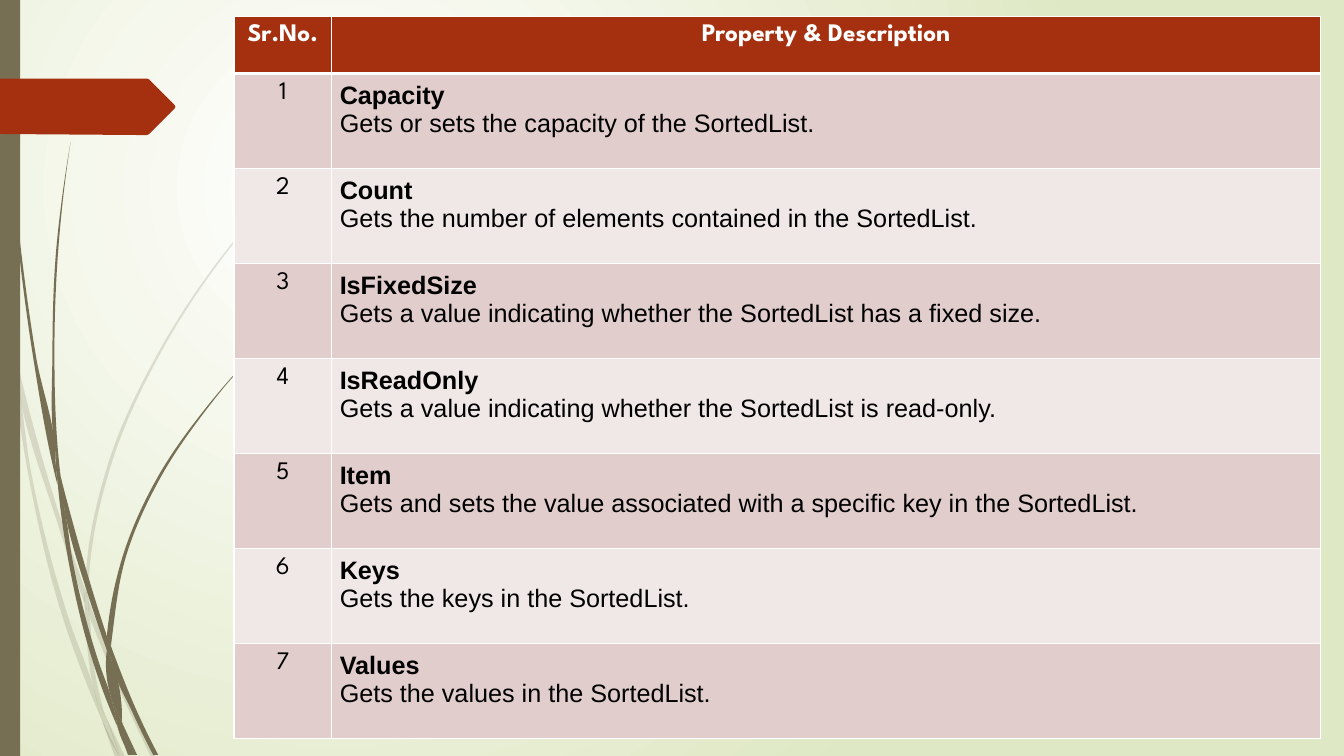
from lxml import etree
from pptx import Presentation
from pptx.dml.color import RGBColor
from pptx.enum.shapes import MSO_SHAPE
from pptx.enum.text import PP_ALIGN
from pptx.oxml import parse_xml
from pptx.oxml.ns import nsdecls, qn
from pptx.util import Inches, Pt

RECTANGLE = MSO_SHAPE.RECTANGLE
CENTER, JUSTIFY = PP_ALIGN.CENTER, PP_ALIGN.JUSTIFY

COLORS = {
    "white": "FFFFFF", "pale_green": "DFE8C4", "olive": "766F54", "rust": "A53010",
    "band_dark": "E1CDCC", "band_light": "F0E8E7", "black": "000000",
}
HEADING_FONT, BODY_FONT = "League Spartan", "Arial"

# Each grass blade has two smooth edges, split by a slash; points are x,y in inches
FAINT_BLADES = [
    "0,2.82 0.09,3.22 0.11,3.5 / 0.1,3.44 0,2.99",
    "0.14,3.45 0.17,3.76 0.58,5.22 0.84,5.99 / 0.85,5.86 0.62,5.2 0.14,3.45",
    "0.88,6.1 1.23,6.94 1.5,7.51 / 1.55,7.51 1.27,6.92 0.92,6.07 0.88,5.96",
    "1.05,7.11 1.19,7.51 / 1.24,7.51 1.05,7.11",
    "0.11,3.5 0.28,4.7 0.65,6.21 0.92,6.93 1.01,7.14"
    " / 0.99,7.07 0.93,6.83 0.7,6.19 0.31,4.69 0.17,3.76 0.11,3.5",
    "0.84,5.99 0.87,6.46 0.93,6.83 0.96,6.92 1.05,7.11"
    " / 1.03,7.06 0.91,6.46 0.88,6.1 0.84,5.99",
    "3.12,1.54 2.9,1.75 2.68,1.98 2.29,2.45 1.6,3.49 1.1,4.62 0.88,5.84 0.88,5.96"
    " / 0.85,5.86 0.85,5.84 1.07,4.61 1.58,3.48 2.28,2.44 2.68,1.97 2.89,1.75 3.12,1.53",
    "1.01,7.14 1.14,7.51 / 1.19,7.51 1.01,7.14",
    "0.85,5.86 0.84,5.99 0.88,6.08 / 0.88,6.1 0.88,5.96 0.85,5.86",
    "0.93,6.83 0.99,7.07 1.01,7.14 1.19,7.51 / 1.19,7.51 1.05,7.11 0.96,6.92 0.93,6.83",
]
SOLID_BLADES = [
    "0.03,0 0.04,0.48 0.07,1.1 0.17,2.33 0.33,3.55 0.56,4.77 0.57,4.81"
    " / 0.55,4.57 0.55,4.53 0.36,3.55 0.19,2.32 0.08,1.09 0.05,0.48 0.04,0",
    "0.6,4.72 0.64,5.05 0.88,5.92 1.06,6.45 / 1.06,6.31 0.93,5.9 0.6,4.72",
    "1.1,6.41 1.11,6.56 1.32,7.08 1.52,7.49 / 1.57,7.49 1.36,7.06 1.13,6.49 1.1,6.41",
    "0.57,4.77 0.68,5.57 0.93,6.59 1.11,7.08 1.17,7.22"
    " / 1.16,7.17 1.1,6.91 0.98,6.57 0.72,5.56 0.64,5.05 0.57,4.77",
    "0.7,1.41 0.62,1.93 0.56,2.45 0.52,3.49 0.55,4.49 0.6,4.72"
    " / 0.6,4.72 0.58,4.53 0.54,3.49 0.58,2.45 0.63,1.93 0.7,1.41",
    "1.22,7.19 1.33,7.49 / 1.36,7.49 1.22,7.19",
    "0.55,4.49 0.55,4.53 0.57,4.77 0.64,5.05 / 0.64,5.05 0.6,4.72 0.55,4.49",
    "2.6,3.44 2.45,3.58 2.31,3.73 2.04,4.05 1.56,4.74 1.22,5.51 1.06,6.31"
    " / 1.1,6.41 1.11,6.33 1.25,5.52 1.58,4.76 2.05,4.06 2.31,3.74 2.45,3.59 2.61,3.44",
    "1.17,7.22 1.27,7.49 / 1.31,7.49 1.17,7.22",
    "1.06,6.45 1.1,6.91 1.16,7.06 1.22,7.19 / 1.21,7.16 1.11,6.56 1.09,6.51 1.06,6.45",
    "1.06,6.31 1.06,6.45 1.09,6.51 1.11,6.56 / 1.11,6.56 1.1,6.41 1.06,6.31",
    "1.1,6.91 1.16,7.17 1.17,7.22 1.3,7.49 / 1.33,7.49 1.22,7.19 1.16,7.06 1.1,6.91",
]
ARROW_TAB = [(0, 0.78), (1.36, 0.78), (1.46, 0.78), (1.48, 0.79), (1.73, 1.04), (1.74, 1.06),
             (1.73, 1.08), (1.48, 1.33), (1.46, 1.34), (1.36, 1.34), (0, 1.33)]

HEADERS = ["Sr.No.", "Property & Description"]
PROPERTIES = [
    ("Capacity", "Gets or sets the capacity of the SortedList."),
    ("Count", "Gets the number of elements contained in the SortedList."),
    ("IsFixedSize", "Gets a value indicating whether the SortedList has a fixed size."),
    ("IsReadOnly", "Gets a value indicating whether the SortedList is read-only."),
    ("Item", "Gets and sets the value associated with a specific key in the SortedList."),
    ("Keys", "Gets the keys in the SortedList."),
    ("Values", "Gets the values in the SortedList."),
]
TABLE_HEIGHT, HEADER_HEIGHT = Inches(7.17), Inches(0.57)


def rgb(name):
    return RGBColor.from_string(COLORS[name])


def set_background(slide):
    fill = slide.background.fill
    fill.gradient()
    for stop, name in zip(fill.gradient_stops, ("white", "pale_green")):
        stop.color.rgb = rgb(name)
    direction = slide.element.find(".//" + qn("a:lin"))
    direction.getparent().replace(direction, parse_xml(
        f'<a:path {nsdecls("a")} path="circle">'
        '<a:fillToRect l="50000" t="50000" r="100000" b="100000"/></a:path>'))


def paint(shape, name, opacity=100):
    shape.shadow.inherit = False
    shape.line.fill.background()
    shape.fill.solid()
    shape.fill.fore_color.rgb = rgb(name)
    if opacity < 100:
        color = shape.fill._xPr.find(".//" + qn("a:srgbClr"))
        etree.SubElement(color, qn("a:alpha"), val=str(opacity * 1000))


def add_outline(slide, points, name, opacity=100):
    corners = [(Inches(x), Inches(y)) for x, y in points]
    builder = slide.shapes.build_freeform(*corners[0])
    builder.add_line_segments(corners[1:], close=True)
    shape = builder.convert_to_shape()
    paint(shape, name, opacity)
    return shape


def edge_handles(points):
    """Return the two control points of each curve along one blade edge."""
    chords = [end - start for start, end in zip(points, points[1:])]
    units = [chord / abs(chord) for chord in chords]
    headings = []
    for i in range(1, len(chords)):
        turn = units[i - 1] * abs(chords[i]) + units[i] * abs(chords[i - 1])
        headings.append(turn / abs(turn))
    if headings:  # the ends bend on as an arc
        headings = [units[0]**2 / headings[0], *headings, units[-1]**2 / headings[-1]]
    else:
        headings = units * 2
    return [(points[i] + headings[i] * abs(chord) / 3,
             points[i + 1] - headings[i + 1] * abs(chord) / 3)
            for i, chord in enumerate(chords)]


def add_blade(slide, blade, opacity):
    edges = [[complex(*map(float, pair.split(","))) for pair in edge.split()]
             for edge in blade.split("/")]
    points = [(point.real, point.imag) for edge in edges for point in edge]
    shape = add_outline(slide, points, "olive", opacity)
    first, second = map(edge_handles, edges)
    lines = shape._element.findall(".//" + qn("a:lnTo"))
    for line, handles in zip(lines, [*first, None, *second]):
        if handles:
            line.tag = qn("a:cubicBezTo")
            for position, handle in enumerate(handles):
                line.insert(position, line.makeelement(qn("a:pt"), {
                    "x": str(Inches(handle.real) - shape.left),
                    "y": str(Inches(handle.imag) - shape.top)}))


def set_borders(cell, bottom_width):
    properties = cell._tc.get_or_add_tcPr()
    widths = {"lnL": 1, "lnR": 1, "lnT": 1, "lnB": bottom_width}
    for position, (side, width) in enumerate(widths.items()):
        properties.insert(position, parse_xml(
            f'<a:{side} {nsdecls("a")} w="{Pt(width)}"><a:solidFill>'
            f'<a:srgbClr val="{COLORS["white"]}"/></a:solidFill></a:{side}>'))


def fill_cell(cell, lines, fill, color, font, alignment, bold_first):
    cell.fill.solid()
    cell.fill.fore_color.rgb = rgb(fill)
    cell.margin_left = cell.margin_right = Inches(0.08)
    cell.margin_top = cell.margin_bottom = Inches(0.08)
    cell.text_frame.text = "\n".join(lines)
    for index, paragraph in enumerate(cell.text_frame.paragraphs):
        paragraph.alignment = alignment
        run_font = paragraph.runs[0].font
        run_font.name, run_font.size = font, Pt(18)
        run_font.bold = bold_first and index == 0
        run_font.color.rgb = rgb(color)


def add_property_table(slide):
    table = slide.shapes.add_table(len(PROPERTIES) + 1, 2, Inches(2.32), Inches(0.16),
                                   Inches(10.78), TABLE_HEIGHT).table
    table.columns[0].width, table.columns[1].width = Inches(0.97), Inches(9.81)
    table.rows[0].height = HEADER_HEIGHT
    for column, header in enumerate(HEADERS):
        cell = table.cell(0, column)
        fill_cell(cell, [header], "rust", "white", HEADING_FONT, CENTER, True)
        set_borders(cell, bottom_width=3)
    for number, lines in enumerate(PROPERTIES, start=1):
        band = "band_dark" if number % 2 else "band_light"
        table.rows[number].height = (TABLE_HEIGHT - HEADER_HEIGHT) // len(PROPERTIES)
        fill_cell(table.cell(number, 0), [str(number)], band, "black", HEADING_FONT,
                  CENTER, False)
        fill_cell(table.cell(number, 1), lines, band, "black", BODY_FONT, JUSTIFY, True)


def main():
    presentation = Presentation()
    presentation.slide_width, presentation.slide_height = Inches(13.33), Inches(7.5)
    slide = presentation.slides.add_slide(presentation.slide_layouts[6])
    set_background(slide)
    # Grass, side bar and arrow tab
    for blades, opacity in ((FAINT_BLADES, 20), (SOLID_BLADES, 100)):
        for blade in blades:
            add_blade(slide, blade, opacity)
    paint(slide.shapes.add_shape(RECTANGLE, 0, 0, Inches(0.2), Inches(7.5)), "olive")
    add_outline(slide, ARROW_TAB, "rust")
    # Content
    add_property_table(slide)
    presentation.save("out.pptx")


if __name__ == "__main__":
    main()
